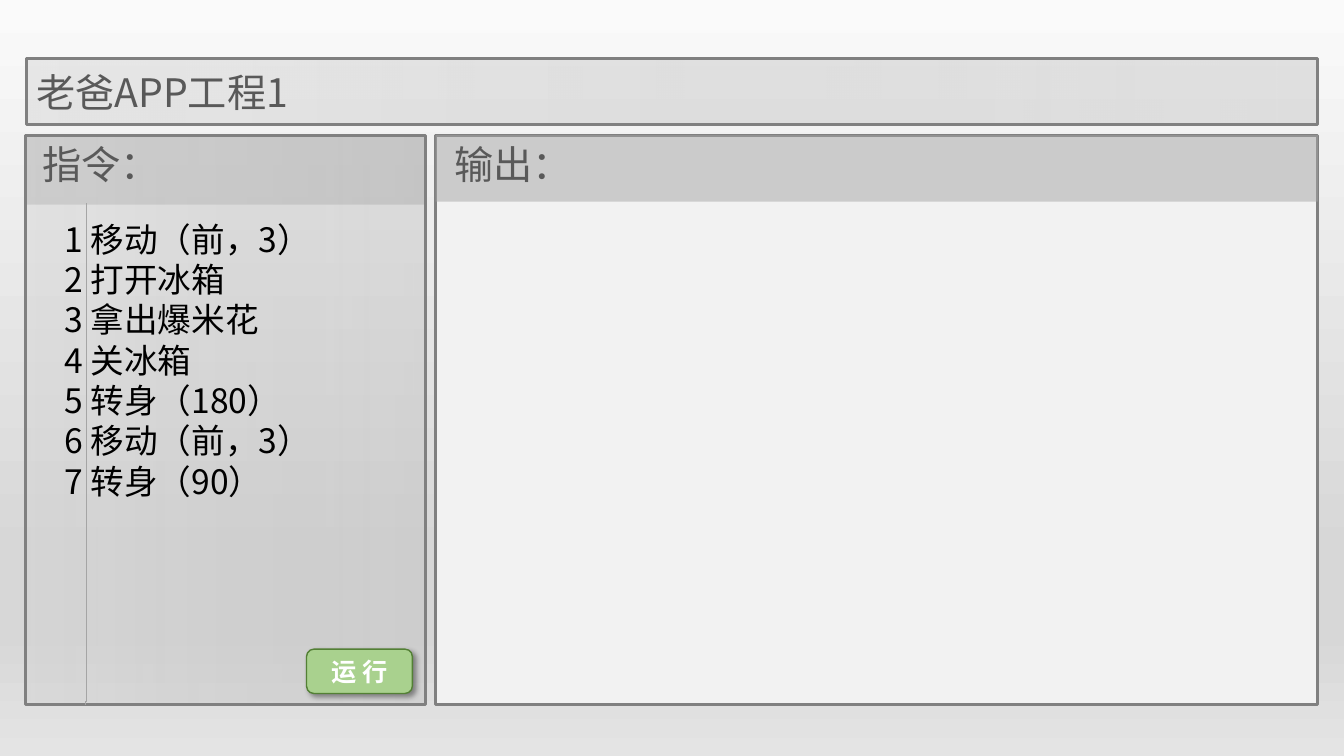
import pptx
import pptx.dml.color
import pptx.enum.shapes
import pptx.enum.text
import pptx.oxml
import pptx.oxml.ns
import pptx.util
from lxml import etree
from pptx.util import Inches

FONT = "Noto Sans CJK SC"
GRAY_TEXT = "595959"
BORDER = "808080"
HEADER_GRAY = "A5A5A5"
PANEL_TOP, PANEL_HEIGHT = 1.34, 5.65
PANEL_STOPS = [(0, "D2D2D2", 42), (50, "C8C8C8", 49), (100, "C0C0C0", 40)]
BACKGROUND_STOPS = [(0, "FAFAFA", 100), (74, "D7D7D7", 100),
                    (83, "D7D7D7", 100), (100, "E4E4E4", 100)]
COMMANDS = ["1 移动（前，3）", "2 打开冰箱", "3 拿出爆米花", "4 关冰箱",
            "5 转身（180）", "6 移动（前，3）", "7 转身（90）"]
SHAPE = pptx.enum.shapes.MSO_SHAPE
ALIGN = pptx.enum.text.PP_ALIGN
ANCHOR = pptx.enum.text.MSO_ANCHOR
AUTO_SIZE = pptx.enum.text.MSO_AUTO_SIZE
qn = pptx.oxml.ns.qn


def color(hex_string):
    return pptx.dml.color.RGBColor.from_string(hex_string)


def add_child(parent, tag, **attributes):
    return etree.SubElement(parent, qn(tag), {k: str(v) for k, v in attributes.items()})


def add_tinted_color(parent, hex_string, opacity):
    tint = add_child(parent, "a:srgbClr", val=hex_string)
    if opacity < 100:
        add_child(tint, "a:alpha", val=opacity * 1000)


def set_gradient(fill, properties, stops, angle):
    """Put a linear gradient of (position, colour, opacity) stops in place of the fill."""
    fill.solid()
    solid = properties.find(qn("a:solidFill"))
    gradient = etree.Element(qn("a:gradFill"), rotWithShape="1")
    stop_list = add_child(gradient, "a:gsLst")
    for position, hex_string, opacity in stops:
        stop = add_child(stop_list, "a:gs", pos=position * 1000)
        add_tinted_color(stop, hex_string, opacity)
    add_child(gradient, "a:lin", ang=angle * 60000, scaled=0)
    properties.replace(solid, gradient)


def set_panel_gradient(panel):
    set_gradient(panel.fill, panel._element.spPr, PANEL_STOPS, 0)


def set_line(line, hex_string, width):
    line.color.rgb = color(hex_string)
    line.width = pptx.util.Pt(width)


def place(shape, left, top, width, height):
    shape.left, shape.top = Inches(left), Inches(top)
    shape.width, shape.height = Inches(width), Inches(height)


def add_box(slide, left, top, width, height, fill, preset=SHAPE.RECTANGLE):
    box = slide.shapes.add_shape(preset, Inches(left), Inches(top),
                                 Inches(width), Inches(height))
    box.shadow.inherit = False
    box.fill.solid()
    box.fill.fore_color.rgb = color(fill)
    box.line.fill.background()
    return box


def add_header_band(slide, left, width, height):
    band = add_box(slide, left, PANEL_TOP, width, height, HEADER_GRAY)
    tint = band._element.spPr.find(qn("a:solidFill"))[0]
    add_child(tint, "a:alpha", val=50000)


def write(frame, lines, size, hex_string, align=ALIGN.LEFT, bold=False, tight=False):
    """Fill the frame with unbulleted paragraphs; tight lines are 1.2 times the size."""
    frame.word_wrap = True
    frame.text = "\n".join(lines)
    for paragraph in frame.paragraphs:
        paragraph.alignment = align
        paragraph.space_before = pptx.util.Pt(0)
        if tight:
            paragraph.line_spacing = pptx.util.Pt(size * 1.2)
        properties = paragraph._p.get_or_add_pPr()
        properties.set("marL", "0")
        properties.set("indent", "0")
        add_child(properties, "a:buNone")
        font = paragraph.font
        font.name, font.size, font.bold = FONT, pptx.util.Pt(size), bold
        font.color.rgb = color(hex_string)
        add_child(properties.find(qn("a:defRPr")), "a:ea", typeface=FONT)


def add_label(slide, left, text):
    label = slide.shapes.add_textbox(Inches(left), Inches(PANEL_TOP),
                                     Inches(1.74), Inches(0.57))
    write(label.text_frame, [text], 28, GRAY_TEXT, ALIGN.CENTER, tight=True)
    label.text_frame.auto_size = AUTO_SIZE.SHAPE_TO_FIT_TEXT


def add_number_rule(slide):
    """Draw the thin upright line between the line numbers and the commands."""
    rule = slide.shapes.add_connector(
        pptx.enum.shapes.MSO_CONNECTOR.ELBOW,
        Inches(-1.64), Inches(4.5), Inches(3.34), Inches(4.51))
    properties = rule._element.spPr
    properties.find(qn("a:xfrm")).set("rot", str(90 * 60000))
    adjustments = properties.find(qn("a:prstGeom")).find(qn("a:avLst"))
    add_child(adjustments, "a:gd", name="adj1", fmla="val 99200")
    set_line(rule.line, HEADER_GRAY, 0.5)
    add_child(properties, "a:effectLst")


def add_run_button(slide):
    button = add_box(slide, 3.04, 6.44, 1.05, 0.44, "A9D18E", SHAPE.ROUNDED_RECTANGLE)
    set_line(button.line, "538035", 1)
    effects = button._element.spPr.find(qn("a:effectLst"))
    shadow = add_child(effects, "a:outerShdw", blurRad=pptx.util.Pt(4),
                       dist=pptx.util.Pt(3), dir=45 * 60000, algn="tl", rotWithShape=0)
    add_tinted_color(shadow, "000000", 40)
    button.text_frame.vertical_anchor = ANCHOR.MIDDLE
    write(button.text_frame, ["运 行"], 18, "FFFFFF", ALIGN.CENTER, bold=True)


def fill_title(title):
    place(title, 0.26, 0.58, 12.81, 0.66)
    set_panel_gradient(title)
    set_line(title.line, BORDER, 2.25)
    title.text_frame.vertical_anchor = ANCHOR.MIDDLE
    title.text_frame.auto_size = AUTO_SIZE.NONE
    write(title.text_frame, ["老爸APP工程1"], 28, GRAY_TEXT)


def fill_commands(slide, commands):
    place(commands, 0.54, 2.12, 3.51, 2.93)
    commands.text_frame.auto_size = AUTO_SIZE.NONE
    write(commands.text_frame, COMMANDS, 24, "000000", tight=True)
    slide.shapes._spTree.append(commands._element)  # in front of the panels


def main():
    presentation = pptx.Presentation()
    presentation.slide_width, presentation.slide_height = Inches(13.33), Inches(7.5)
    slide = presentation.slides.add_slide(presentation.slide_layouts[1])
    background = slide.background.fill
    background.solid()
    set_gradient(background, slide.element.find(".//" + qn("p:bgPr")),
                 BACKGROUND_STOPS, 90)

    fill_title(slide.shapes.title)

    add_header_band(slide, 0.25, 3.97, 0.69)
    command_panel = add_box(slide, 0.25, PANEL_TOP, 3.97, PANEL_HEIGHT, "C8C8C8")
    set_panel_gradient(command_panel)
    output_panel = add_box(slide, 4.32, PANEL_TOP, 8.75, PANEL_HEIGHT, "F2F2F2")
    for panel in (command_panel, output_panel):
        set_line(panel.line, BORDER, 2.25)
    add_header_band(slide, 4.32, 8.75, 0.66)

    add_label(slide, 0.13, "指令：")
    add_label(slide, 4.22, "输出：")
    fill_commands(slide, slide.placeholders[1])
    add_number_rule(slide)
    add_run_button(slide)
    presentation.save("out.pptx")


if __name__ == "__main__":
    main()
